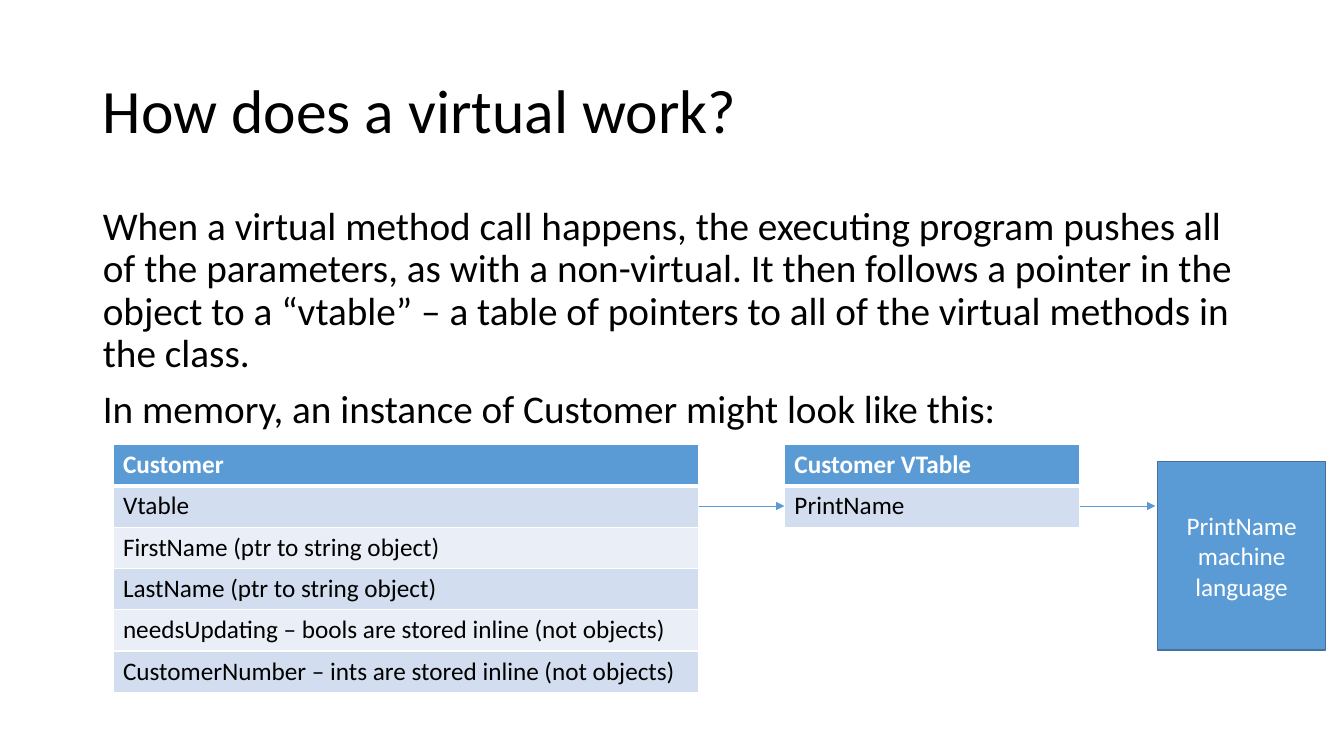
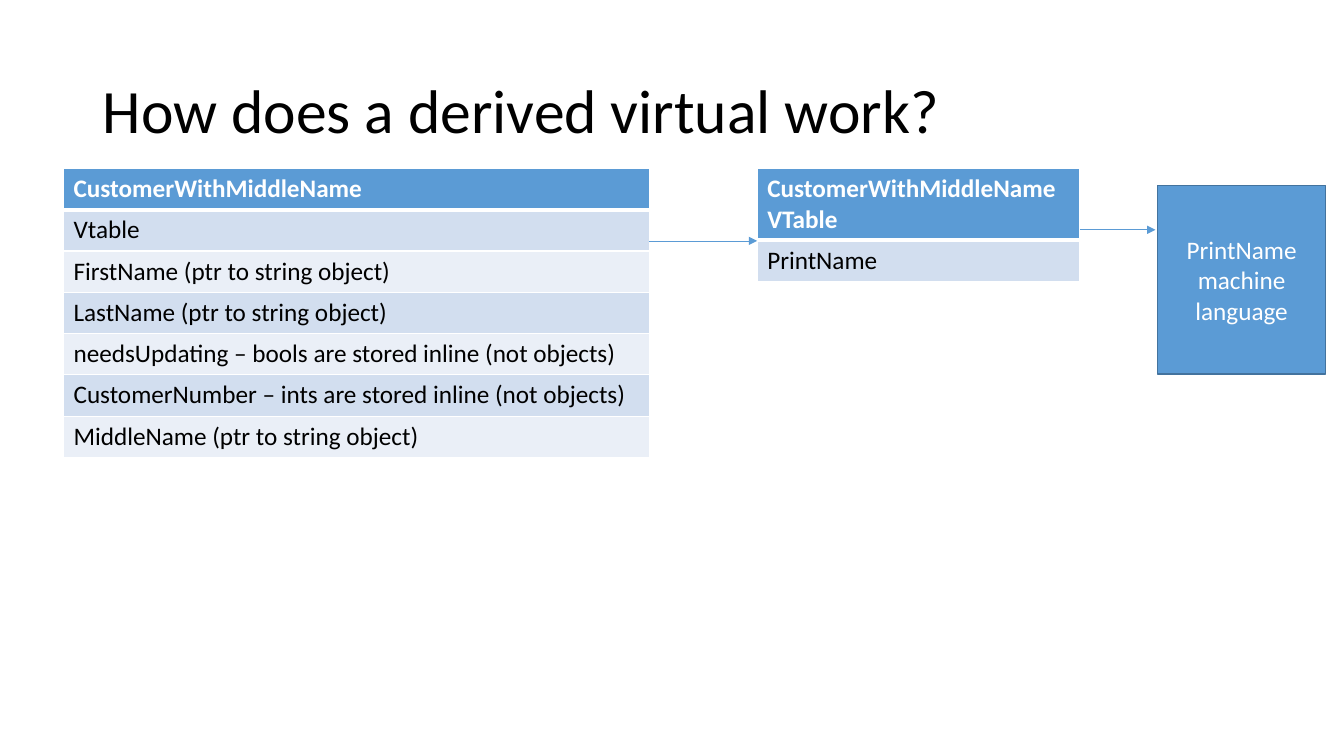
import dataclasses
import typing

import lxml.etree
import pptx
import pptx.dml.color
import pptx.enum.shapes
import pptx.enum.text
import pptx.oxml
import pptx.oxml.ns
import pptx.presentation
import pptx.shapes.autoshape
import pptx.slide
import pptx.table
import pptx.text.text
import pptx.util

Inches = pptx.util.Inches
Pt = pptx.util.Pt
qn = pptx.oxml.ns.qn

FONT = "Calibri"
BLACK, WHITE = "000000", "FFFFFF"
BLUE, DARK_BLUE = "5B9BD5", "43739E"
BANDS = ("D2DEEF", "EAEFF7")

LAYOUT_WITH_BODY, LAYOUT_TITLE_ONLY = 1, 5
MARGIN, CONTENT_WIDTH = 0.92, 11.5
ROW_HEIGHT = 0.41
BOX_LEFT, BOX_WIDTH, BOX_HEIGHT = 11.48, 1.67, 1.87
BOX_DROP, CALL_DROP = 0.17, 0.61

LEFT_ALIGNED = {
    "alignment": pptx.enum.text.PP_ALIGN.LEFT,
    "line_spacing": 0.9,
}
CENTERED = {"alignment": pptx.enum.text.PP_ALIGN.CENTER}

CUSTOMER_FIELDS = (
    "Vtable",
    "FirstName (ptr to string object)",
    "LastName (ptr to string object)",
    "needsUpdating – bools are stored inline (not objects)",
    "CustomerNumber – ints are stored inline (not objects)",
)


@dataclasses.dataclass(frozen=True)
class MemoryTable:
    header: str
    fields: tuple[str, ...]
    left: float
    width: float
    header_height: float = ROW_HEIGHT

    @property
    def right(self) -> float:
        return self.left + self.width


@dataclasses.dataclass(frozen=True)
class MemorySlide:
    title: str
    instance: MemoryTable
    vtable: MemoryTable
    top: float
    pointer_drop: float
    body: tuple[str, ...] = ()


SLIDES = (
    MemorySlide(
        title="How does a virtual work?",
        instance=MemoryTable("Customer", CUSTOMER_FIELDS, 1.12, 5.81),
        vtable=MemoryTable("Customer VTable", ("PrintName",), 7.78, 2.93),
        top=4.41,
        pointer_drop=0.61,
        body=(
            "When a virtual method call happens, the executing program pushes all "
            "of the parameters, as with a non-virtual. It then follows a pointer in "
            "the object to a “vtable” – a table of pointers to all of the virtual "
            "methods in the class.",
            "In memory, an instance of Customer might look like this:",
        ),
    ),
    MemorySlide(
        title="How does a derived virtual work?",
        instance=MemoryTable(
            "CustomerWithMiddleName",
            CUSTOMER_FIELDS + ("MiddleName (ptr to string object)",),
            0.63,
            5.81,
        ),
        vtable=MemoryTable(
            "CustomerWithMiddleName VTable", ("PrintName",), 7.51, 3.2, 0.7
        ),
        top=1.67,
        pointer_drop=0.72,
    ),
)


def color(value: str) -> pptx.dml.color.RGBColor:
    return pptx.dml.color.RGBColor.from_string(value)


def apply_format(target: typing.Any, values: dict[str, typing.Any]) -> None:
    for name, value in values.items():
        setattr(target, name, value)


def write_text(
    frame: pptx.text.text.TextFrame,
    lines: tuple[str, ...],
    size: float,
    text_color: str,
    paragraph_format: dict[str, typing.Any],
    bold: bool = False,
) -> None:
    for index, line in enumerate(lines):
        paragraph = frame.paragraphs[0] if index == 0 else frame.add_paragraph()
        apply_format(paragraph, paragraph_format)
        run = paragraph.add_run()
        run.text = line
        apply_format(run.font, {"name": FONT, "size": Pt(size), "bold": bold})
        run.font.color.rgb = color(text_color)


def place_placeholder(
    shape: pptx.shapes.autoshape.Shape,
    top: float,
    height: float,
    anchor: pptx.enum.text.MSO_ANCHOR,
) -> None:
    apply_format(shape, {
        "left": Inches(MARGIN),
        "top": Inches(top),
        "width": Inches(CONTENT_WIDTH),
        "height": Inches(height),
    })
    apply_format(shape.text_frame, {
        "word_wrap": True,
        "auto_size": pptx.enum.text.MSO_AUTO_SIZE.NONE,
        "vertical_anchor": anchor,
    })


def fill_title(slide: pptx.slide.Slide, title: str) -> None:
    shape = slide.shapes.title
    place_placeholder(shape, 0.4, 1.45, pptx.enum.text.MSO_ANCHOR.MIDDLE)
    write_text(shape.text_frame, (title,), 44, BLACK, LEFT_ALIGNED)


def fill_body(slide: pptx.slide.Slide, lines: tuple[str, ...]) -> None:
    shape = slide.placeholders[1]
    place_placeholder(shape, 2, 2.35, pptx.enum.text.MSO_ANCHOR.TOP)
    spacing = LEFT_ALIGNED | {"space_before": Pt(10)}
    write_text(shape.text_frame, lines, 28, BLACK, spacing)
    for properties in shape.text_frame._txBody.iter(qn("a:pPr")):
        properties.set("marL", "0")
        properties.set("indent", "0")
        lxml.etree.SubElement(properties, qn("a:buNone"))


def set_borders(cell: pptx.table._Cell, top: float, bottom: float) -> None:
    """Give the cell white edges: 1 pt at the sides, the given points elsewhere."""
    properties = cell._tc.get_or_add_tcPr()
    widths = {"a:lnL": 1, "a:lnR": 1, "a:lnT": top, "a:lnB": bottom}
    for index, (tag, width) in enumerate(widths.items()):
        border = lxml.etree.Element(qn(tag), w=str(Pt(width)))
        fill = lxml.etree.SubElement(border, qn("a:solidFill"))
        lxml.etree.SubElement(fill, qn("a:srgbClr"), val=WHITE)
        properties.insert(index, border)


def add_memory_table(slide: pptx.slide.Slide, memory: MemoryTable, top: float) -> None:
    rows = (memory.header, *memory.fields)
    height = memory.header_height + ROW_HEIGHT * len(memory.fields)
    table = slide.shapes.add_table(
        len(rows), 1,
        Inches(memory.left), Inches(top), Inches(memory.width), Inches(height),
    ).table
    for index, text in enumerate(rows):
        is_header = index == 0
        table.rows[index].height = Inches(
            memory.header_height if is_header else ROW_HEIGHT
        )
        cell = table.cell(index, 0)
        cell.fill.solid()
        cell.fill.fore_color.rgb = color(
            BLUE if is_header else BANDS[(index - 1) % len(BANDS)]
        )
        set_borders(cell, top=3 if index == 1 else 1, bottom=3 if is_header else 1)
        text_color = WHITE if is_header else BLACK
        write_text(cell.text_frame, (text,), 18, text_color, {}, bold=is_header)


def add_arrow(slide: pptx.slide.Slide, start: float, end: float, y: float) -> None:
    connector = slide.shapes.add_connector(
        pptx.enum.shapes.MSO_CONNECTOR.STRAIGHT,
        Inches(start), Inches(y), Inches(end), Inches(y),
    )
    connector.line.color.rgb = color(BLUE)
    connector.line.width = Pt(0.5)
    line = connector.line._get_or_add_ln()
    lxml.etree.SubElement(line, qn("a:tailEnd"), type="triangle")
    lxml.etree.SubElement(connector._element.spPr, qn("a:effectLst"))


def add_code_box(slide: pptx.slide.Slide, top: float) -> None:
    box = slide.shapes.add_shape(
        pptx.enum.shapes.MSO_SHAPE.RECTANGLE,
        Inches(BOX_LEFT), Inches(top), Inches(BOX_WIDTH), Inches(BOX_HEIGHT),
    )
    box.shadow.inherit = False
    box.fill.solid()
    box.fill.fore_color.rgb = color(BLUE)
    box.line.color.rgb = color(DARK_BLUE)
    box.line.width = Pt(1)
    apply_format(box.text_frame, {
        "word_wrap": True,
        "vertical_anchor": pptx.enum.text.MSO_ANCHOR.MIDDLE,
    })
    write_text(box.text_frame, ("PrintName machine language",), 18, WHITE, CENTERED)


def add_memory_slide(
    presentation: pptx.presentation.Presentation, content: MemorySlide
) -> None:
    layout = LAYOUT_WITH_BODY if content.body else LAYOUT_TITLE_ONLY
    slide = presentation.slides.add_slide(presentation.slide_layouts[layout])
    fill_title(slide, content.title)
    if content.body:
        fill_body(slide, content.body)
    instance, vtable, top = content.instance, content.vtable, content.top
    for memory in (instance, vtable):
        add_memory_table(slide, memory, top)
    add_arrow(slide, instance.right, vtable.left, top + content.pointer_drop)
    add_code_box(slide, top + BOX_DROP)
    add_arrow(slide, vtable.right, BOX_LEFT - 0.02, top + CALL_DROP)


def main() -> None:
    presentation = pptx.Presentation()
    presentation.slide_width = Inches(13.33)
    presentation.slide_height = Inches(7.5)
    for content in SLIDES:
        add_memory_slide(presentation, content)
    presentation.save("out.pptx")


if __name__ == "__main__":
    main()
